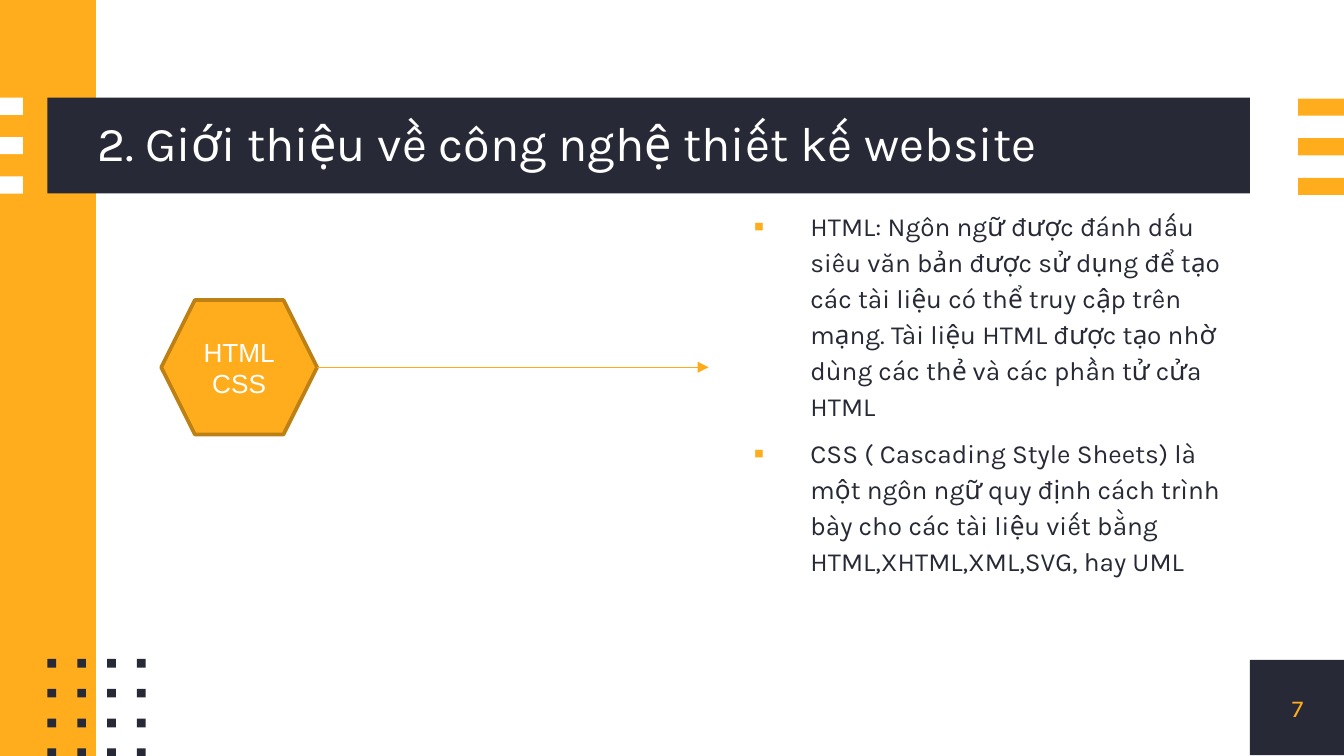
from dataclasses import dataclass

from lxml import etree
from pptx import Presentation
from pptx.dml.color import RGBColor
from pptx.enum.shapes import MSO_CONNECTOR, MSO_SHAPE
from pptx.enum.text import MSO_ANCHOR, PP_ALIGN
from pptx.oxml.ns import qn
from pptx.util import Inches, Pt

RECT, HEX = MSO_SHAPE.RECTANGLE, MSO_SHAPE.HEXAGON
LINE = MSO_CONNECTOR.STRAIGHT
TOP, MID = MSO_ANCHOR.TOP, MSO_ANCHOR.MIDDLE
LEFT, MIDST = PP_ALIGN.LEFT, PP_ALIGN.CENTER


@dataclass(frozen=True)
class Theme:
    """Colours, fonts and type sizes."""

    dark: str = "272A36"
    gold: str = "FFAD1D"
    edge: str = "BD8015"
    wire: str = "FFAB17"
    white: str = "FFFFFF"
    font: str = "Karla"
    plain: str = "Arial"
    head: int = 26
    body: int = 14
    small: int = 13


def write(frame, lines, *, size, color, font, align=LEFT, anchor=MID,
          inset=0, space=None, before=None, mark=None):
    """Fill a text frame with one paragraph per line."""
    frame.word_wrap = True
    frame.vertical_anchor = anchor
    if inset is not None:
        frame.margin_left = frame.margin_right = Inches(inset)
        frame.margin_top = frame.margin_bottom = Inches(inset)
    for i, line in enumerate(lines):
        para = frame.add_paragraph() if i else frame.paragraphs[0]
        para.alignment = align
        if space is not None:
            para.line_spacing = space
        if before is not None:
            para.space_before = Pt(before)
        if mark:
            props = para._p.get_or_add_pPr()
            props.set("marL", str(Inches(0.5)))
            props.set("indent", str(Inches(-0.42)))
            tint = etree.SubElement(props, qn("a:buClr"))
            etree.SubElement(tint, qn("a:srgbClr"), val=mark)
            etree.SubElement(props, qn("a:buFont"), typeface=font)
            etree.SubElement(props, qn("a:buChar"), char="▪")
        run = para.add_run()
        run.text = line
        run.font.size = Pt(size)
        run.font.name = font
        run.font.color.rgb = RGBColor.from_string(color)


class Board:
    """Draws on one slide, on a grid of 100 columns in square cells."""

    def __init__(self, deck, theme):
        """Add a blank slide to the deck."""
        self.theme = theme
        self.cell = deck.slide_width / 100
        self.slide = deck.slides.add_slide(deck.slide_layouts[6])

    def span(self, *cells):
        """Turn grid cells into lengths."""
        return [round(n * self.cell) for n in cells]

    def shape(self, box, fill, kind=RECT, edge=None, width=2):
        """Draw a filled preset shape."""
        item = self.slide.shapes.add_shape(kind, *self.span(*box))
        item.shadow.inherit = False
        item.fill.solid()
        item.fill.fore_color.rgb = RGBColor.from_string(fill)
        if edge:
            item.line.color.rgb = RGBColor.from_string(edge)
            item.line.width = Pt(width)
        else:
            item.line.fill.background()
        return item

    def tiles(self, start, size, step, count, fill):
        """Repeat a small rectangle over columns and rows."""
        for row in range(count[1]):
            for col in range(count[0]):
                left, top = start[0] + col * step[0], start[1] + row * step[1]
                self.shape((left, top, *size), fill)

    def text(self, box, *lines, **style):
        """Place a text box."""
        item = self.slide.shapes.add_textbox(*self.span(*box))
        write(item.text_frame, lines, **style)

    def arrow(self, start, end, color, width=0.75):
        """Draw a straight arrow."""
        item = self.slide.shapes.add_connector(LINE, *self.span(*start, *end))
        item.line.color.rgb = RGBColor.from_string(color)
        item.line.width = Pt(width)
        etree.SubElement(item.line._get_or_add_ln(), qn("a:tailEnd"), type="triangle")
        etree.SubElement(item._element.spPr, qn("a:effectLst"))


def main():
    """Build and save the slide."""
    look = Theme()
    deck = Presentation()
    deck.slide_width = Inches(10)
    deck.slide_height = deck.slide_width * 9 // 16
    board = Board(deck, look)

    page = (93, 49.1, 7.1, 7.1)
    board.shape(page, look.dark)
    board.shape((0, 0, 7.13, 56.25), look.gold)
    board.shape((3.53, 7.27, 89.47, 7.13), look.dark)
    board.tiles((0, 7.27), (1.7, 1.28), (0, 2.93), (1, 3), look.white)
    board.tiles((96.6, 7.33), (3.4, 1.28), (0, 2.95), (1, 3), look.gold)
    board.tiles((3.53, 49.03), (0.65, 0.65), (2.22, 2.22), (4, 4), look.dark)

    board.text((7.23, 7.3, 85.8, 7.1), "2. Giới thiệu về công nghệ thiết kế website",
               size=look.head, color=look.white, font=look.font, space=0.9)
    board.text((93, 49.15, 7.1, 7.1), "7", size=look.small, color=look.gold,
               font=look.font, align=MIDST)
    board.text(
        (55.3, 15.3, 37.1, 40),
        "HTML: Ngôn ngữ được đánh dấu siêu văn bản được sử dụng để tạo các tài "
        "liệu có thể truy cập trên mạng. Tài liệu HTML được tạo nhờ dùng các thẻ "
        "và các phần tử cửa HTML",
        "CSS ( Cascading Style Sheets) là một ngôn ngữ quy định cách trình bày "
        "cho các tài liệu viết bằng HTML,XHTML,XML,SVG, hay UML",
        size=look.body, color=look.dark, font=look.font, anchor=TOP,
        space=1.15, before=6, mark=look.gold)

    topic = board.shape((12, 22.33, 11.6, 10), look.gold, HEX, look.edge)
    write(topic.text_frame, ("HTML", "CSS"), size=look.body, color=look.white,
          font=look.plain, align=MIDST, inset=None)
    board.arrow((23.6, 27.33), (52.73, 27.33), look.wire)

    deck.save("out.pptx")


if __name__ == "__main__":
    main()
